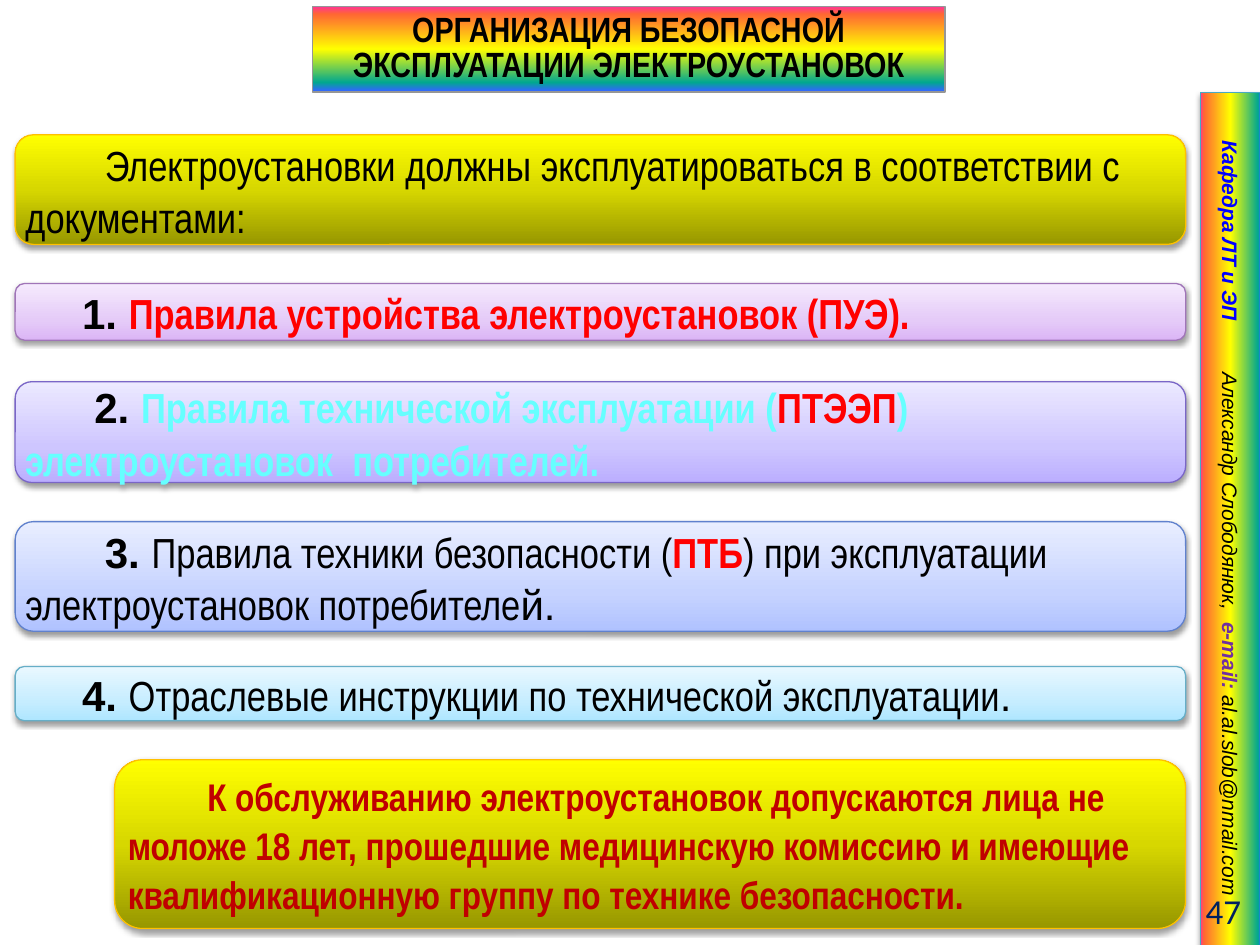
"""Build the slide on safe operation of electrical installations."""
from lxml import etree
from pptx import Presentation
from pptx.dml.color import RGBColor
from pptx.enum import shapes, text
from pptx.oxml import ns
from pptx.util import Inches, Pt

COLORS = {
    "black": "000000", "red": "FF0000", "dark": "C00000", "aqua": "66FFFF",
    "blue": "0000FF", "purple": "7030A0", "navy": "002060",
    "gold": "FFC000", "teal": "46AAC5", "gray": "969696",
    "lilac": "A075B8", "violet": "7A66C7", "steel": "6081CD", "sky": "66AEC7",
}
YELLOW = [(0, "979700"), (50, "D7D700"), (100, "FFFF00")]
NARROW = "Arial Narrow"


def rainbow(*places):
    """Return rainbow stops at the given places."""
    return list(zip(places, ("FF3399", "FF6633", "FFFF00", "01A78F", "3366FF")))


def pale(*hues):
    """Return the three stops of a pale bar."""
    return list(zip((0, 35, 100), hues))


def place(shape, left, top, width, height):
    """Set the position and size in inches."""
    shape.left, shape.top = Inches(left), Inches(top)
    shape.width, shape.height = Inches(width), Inches(height)


def paint(shape, stops, edge, angle=90):
    """Apply a gradient fill and a thin outline."""
    shape.fill.gradient()
    shape.fill.gradient_angle = angle
    stop_list = shape._element.spPr.find(".//" + ns.qn("a:gsLst"))
    for old in list(stop_list):
        stop_list.remove(old)
    for pos, hue in stops:
        stop = etree.SubElement(stop_list, ns.qn("a:gs"), pos=str(pos * 1000))
        etree.SubElement(stop, ns.qn("a:srgbClr"), val=hue)
    shape.line.color.rgb = RGBColor.from_string(COLORS[edge])
    shape.line.width = Pt(0.75)


def shade(shape):
    """Give the shape a soft shadow below it."""
    shape.shadow.inherit = False
    effects = shape._element.spPr.find(ns.qn("a:effectLst"))
    outer = etree.SubElement(
        effects, ns.qn("a:outerShdw"), blurRad=str(Pt(3.1)), dist=str(Pt(1.6)),
        dir="5400000", rotWithShape="0")
    hue = etree.SubElement(outer, ns.qn("a:srgbClr"), val=COLORS["black"])
    etree.SubElement(hue, ns.qn("a:alpha"), val="38000")


def write(shape, runs, size, align=text.PP_ALIGN.LEFT, gap=None, inset=0.04, italic=False):
    """Fill the frame with one paragraph of (words, color, font, bold) runs."""
    frame = shape.text_frame
    frame.word_wrap = True
    frame.auto_size = text.MSO_AUTO_SIZE.NONE
    frame.vertical_anchor = text.MSO_ANCHOR.MIDDLE
    frame.margin_left = frame.margin_right = Inches(inset)
    frame.margin_top = frame.margin_bottom = Inches(0.04)
    para = frame.paragraphs[0]
    para.alignment = align
    if gap:
        para.line_spacing = Pt(gap)
    for words, color, face, bold in runs:
        run = para.add_run()
        run.text = words
        font = run.font
        font.name, font.size, font.bold, font.italic = face, Pt(size), bold, italic
        font.color.rgb = RGBColor.from_string(COLORS[color])
    return para


def add_title(slide):
    """Turn the title placeholder into a rounded rainbow box."""
    title = slide.shapes.title
    place(title, 2.48, 0.05, 5.02, 0.68)
    geom = etree.Element(ns.qn("a:prstGeom"), prst="roundRect")
    etree.SubElement(geom, ns.qn("a:avLst"))
    title._element.spPr.find(ns.qn("a:xfrm")).addnext(geom)
    paint(title, rainbow(0, 9, 50, 89, 99), "gray", 270)
    write(title, [("ОРГАНИЗАЦИЯ БЕЗОПАСНОЙ ЭКСПЛУАТАЦИИ ЭЛЕКТРОУСТАНОВОК", "black", NARROW, True)],
          20, text.PP_ALIGN.CENTER, 20)


def add_side(slide):
    """Add the turned strip with the author's details."""
    side = slide.shapes.add_shape(shapes.MSO_SHAPE.RECTANGLE, 0, 0, 0, 0)
    place(side, 6.38, 3.88, 6.77, 0.48)
    side.rotation = 90
    paint(side, rainbow(0, 6, 50, 96, 100), "teal")
    shade(side)
    para = write(side, [
        ("Кафедра ЛТ и ЭП\t", "blue", "Arial", True),
        ("Александр Слободянюк,  ", "black", "Arial", False),
        ("e-mail: ", "purple", "Arial", True),
        ("al.al.slob@nmail.com", "black", "Arial", False),
    ], 12, inset=0.38, italic=True)
    side.text_frame.margin_right = 0
    tabs = etree.SubElement(para._p.get_or_add_pPr(), ns.qn("a:tabLst"))
    etree.SubElement(tabs, ns.qn("a:tab"), pos=str(Inches(1.84)), algn="l")


def add_number(slide):
    """Add the page number."""
    box = slide.shapes.add_textbox(0, 0, 0, 0)
    place(box, 8.86, 7.03, 1.09, 0.4)
    write(box, [("47", "navy", "Calibri", False)], 20, text.PP_ALIGN.RIGHT, inset=0.1)


def add_bar(slide, top, height, stops, edge, indent, runs, left=0.12, size=24, gap=30):
    """Add a rounded bar that ends at the common right edge."""
    bar = slide.shapes.add_shape(shapes.MSO_SHAPE.ROUNDED_RECTANGLE, 0, 0, 0, 0)
    place(bar, left, top, 9.41 - left, height)
    paint(bar, stops, edge)
    shade(bar)
    para = write(bar, runs, size, gap=gap)
    para._p.get_or_add_pPr().set("indent", str(Inches(indent)))


def main():
    """Build and save the slide."""
    deck = Presentation()
    deck.slide_width, deck.slide_height = Inches(10), Inches(7.5)
    slide = deck.slides.add_slide(deck.slide_layouts[5])
    add_title(slide)
    add_side(slide)
    add_number(slide)
    add_bar(slide, 1.07, 0.87, YELLOW, "gold", 0.63, [
        ("Электроустановки должны эксплуатироваться в соответствии с документами:",
         "black", NARROW, False)])
    add_bar(slide, 2.25, 0.45, pale("DBB5F6", "E5CBF8", "F5EAFD"), "lilac", 0.47, [
        ("1. ", "black", "Arial", True),
        ("Правила устройства электроустановок (ПУЭ).", "red", NARROW, True)])
    add_bar(slide, 3.03, 0.8, pale("BBAEFF", "CEC6FF", "ECE9FF"), "violet", 0.55, [
        ("2. ", "black", "Arial", True),
        ("Правила технической эксплуатации (", "aqua", NARROW, True),
        ("ПТЭЭП", "red", NARROW, True),
        (") электроустановок  потребителей.", "aqua", NARROW, True)])
    add_bar(slide, 4.14, 0.87, pale("B0C2FF", "C6D3FF", "E9EEFF"), "steel", 0.63, [
        ("3. ", "black", "Arial", True),
        ("Правила техники безопасности (", "black", NARROW, False),
        ("ПТБ", "red", NARROW, True),
        (") при эксплуатации электроустановок потребителе", "black", NARROW, False),
        ("й.", "black", "Arial", False)])
    add_bar(slide, 5.29, 0.43, pale("AEE6FF", "C6EDFF", "E9F8FF"), "sky", 0.47, [
        ("4. ", "black", "Arial", True),
        ("Отраслевые инструкции по технической эксплуатации", "black", NARROW, False),
        (".", "black", "Arial", False)])
    add_bar(slide, 6.03, 1.34, YELLOW, "gold", 0.63, [
        ("К обслуживанию электроустановок допускаются лица не моложе 18 лет, прошедшие "
         "медицинскую комиссию и имеющие квалификационную группу по технике безопасности.",
         "dark", NARROW, True)], left=0.91, size=22, gap=28)
    deck.save("out.pptx")


if __name__ == "__main__":
    main()
